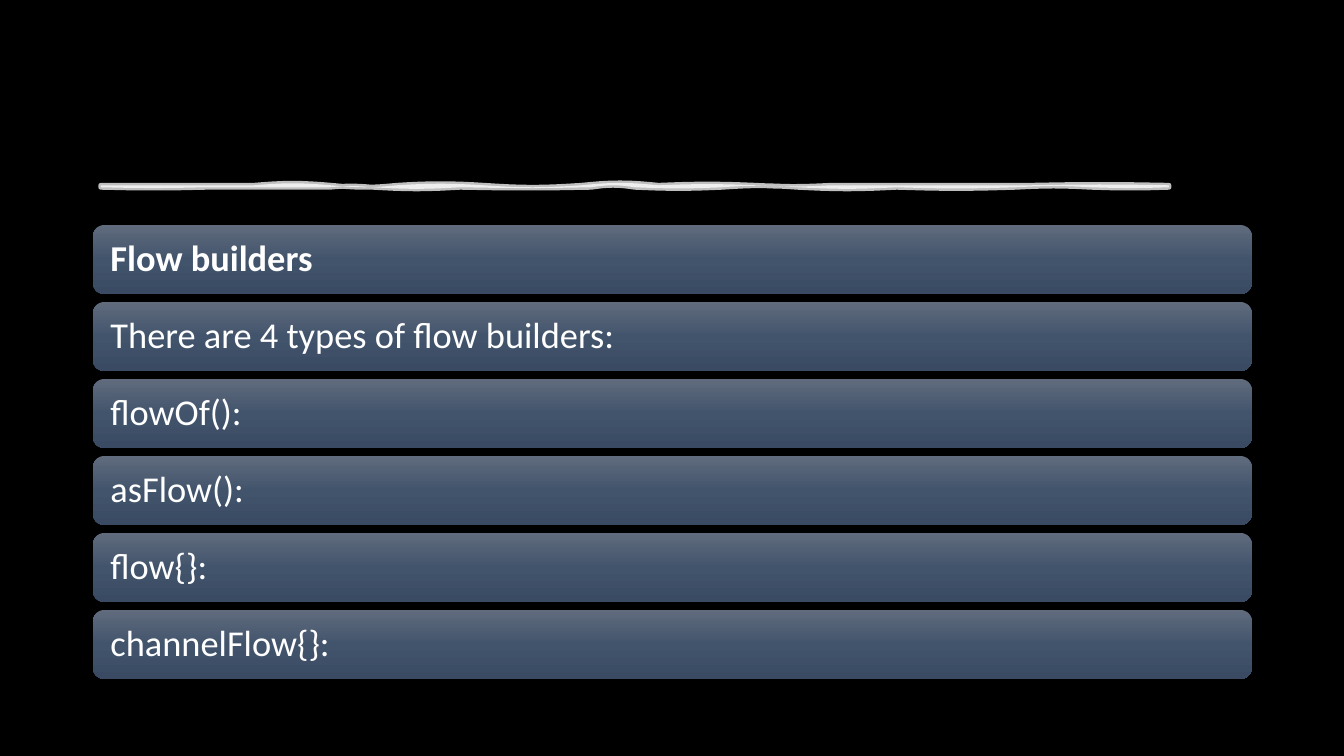
from copy import deepcopy
from dataclasses import dataclass
from itertools import pairwise
from math import pi, sin

from lxml.etree import SubElement
from pptx import Presentation
from pptx.dml.color import RGBColor
from pptx.enum.shapes import MSO_SHAPE
from pptx.enum.text import MSO_ANCHOR, PP_ALIGN
from pptx.oxml.ns import qn
from pptx.util import Cm, Pt


@dataclass(frozen=True)
class Theme:
    """Colours and type of the slide."""
    background: RGBColor = RGBColor(0, 0, 0)
    light: RGBColor = RGBColor(255, 255, 255)
    bar_colors: tuple = ("606B7D", "42546C", "394A62")
    font: str = "Calibri"
    text_size: Pt = Pt(26)
    stroke_width: Pt = Pt(3.5)
    stroke_opacity: int = 75


THEME = Theme()

BUILDERS = (
    "Flow builders",
    "There are 4 types of flow builders:",
    "flowOf():",
    "asFlow():",
    "flow{}:",
    "channelFlow{}:",
)
BAR_LEFT, BAR_TOP, BAR_WIDTH, BAR_HEIGHT = 2.34, 5.67, 29.21, 1.74
BAR_PITCH = 1.94

# Each edge of the brush stroke: knots along x, then the bulge between them (cm).
STROKE_TOP, STROKE_BOTTOM = 4.67, 4.72
UPPER_KNOTS = (2.54, 6.4, 8.35, 10, 12.2, 14.65, 16.6, 19.05, 20.95, 25.95, 29.46)
UPPER_BULGES = (0, -0.05, 0.05, -0.04, 0.05, -0.06, -0.03, 0.03, 0, -0.02)
LOWER_KNOTS = (29.46, 27.5, 25.6, 22.6, 20.1, 18.2, 16, 14.9, 11.6, 9.4, 8.3, 5.2, 2.54)
LOWER_BULGES = (0.02, -0.03, 0.03, 0.04, -0.04, 0.03, -0.05, 0.02, 0.04, -0.03, 0, 0.02)
SAMPLES = 8


def wavy_edge(knots, bulges, level):
    """Return points along an edge that swells by one half sine per span."""
    points = [(Cm(knots[0]), Cm(level))]
    for (start, end), bulge in zip(pairwise(knots), bulges):
        for step in range(1, SAMPLES + 1):
            part = step / SAMPLES
            points.append((Cm(start + (end - start) * part),
                           Cm(level + bulge * sin(pi * part))))
    return points


def add_brush_stroke(slide):
    """Draw the translucent hand-drawn rule."""
    points = (wavy_edge(UPPER_KNOTS, UPPER_BULGES, STROKE_TOP)
              + wavy_edge(LOWER_KNOTS, LOWER_BULGES, STROKE_BOTTOM))
    builder = slide.shapes.build_freeform(*points[0])
    builder.add_line_segments(points[1:], close=True)
    stroke = builder.convert_to_shape()
    stroke.shadow.inherit = False
    stroke.line.width = THEME.stroke_width
    for fill in (stroke.fill, stroke.line.fill):
        fill.solid()
        fill.fore_color.rgb = THEME.light
    for color in stroke.element.spPr.iter(qn("a:srgbClr")):
        SubElement(color, qn("a:alpha"), val=str(THEME.stroke_opacity * 1000))


def fill_bar(bar):
    """Give a bar its three-stop gradient, from top to bottom."""
    bar.fill.gradient()
    bar.fill.gradient_angle = 270
    stop_list = bar.element.spPr.find(".//" + qn("a:gsLst"))
    stop_list.insert(1, deepcopy(stop_list[0]))
    for stop, color, position in zip(bar.fill.gradient_stops, THEME.bar_colors, (0, 0.5, 1)):
        stop.color.rgb = RGBColor.from_string(color)
        stop.position = position


def add_bar(slide, text, top, bold):
    """Add one rounded bar with its text."""
    bar = slide.shapes.add_shape(MSO_SHAPE.ROUNDED_RECTANGLE, Cm(BAR_LEFT), Cm(top),
                                 Cm(BAR_WIDTH), Cm(BAR_HEIGHT))
    bar.shadow.inherit = False
    bar.line.fill.background()
    fill_bar(bar)
    frame = bar.text_frame
    frame.word_wrap = True
    frame.vertical_anchor = MSO_ANCHOR.MIDDLE
    frame.margin_left = frame.margin_right = Cm(0.36)
    paragraph = frame.paragraphs[0]
    paragraph.text = text
    paragraph.alignment = PP_ALIGN.LEFT
    paragraph.line_spacing = 0.9
    paragraph.font.name = THEME.font
    paragraph.font.size = THEME.text_size
    paragraph.font.bold = bold
    paragraph.font.color.rgb = THEME.light


def main():
    """Build and save the slide."""
    presentation = Presentation()
    presentation.slide_width, presentation.slide_height = Cm(33.87), Cm(19.05)
    slide = presentation.slides.add_slide(presentation.slide_layouts[6])
    slide.background.fill.solid()
    slide.background.fill.fore_color.rgb = THEME.background
    add_brush_stroke(slide)
    for index, text in enumerate(BUILDERS):
        add_bar(slide, text, BAR_TOP + index * BAR_PITCH, bold=index == 0)
    presentation.save("out.pptx")


main()
